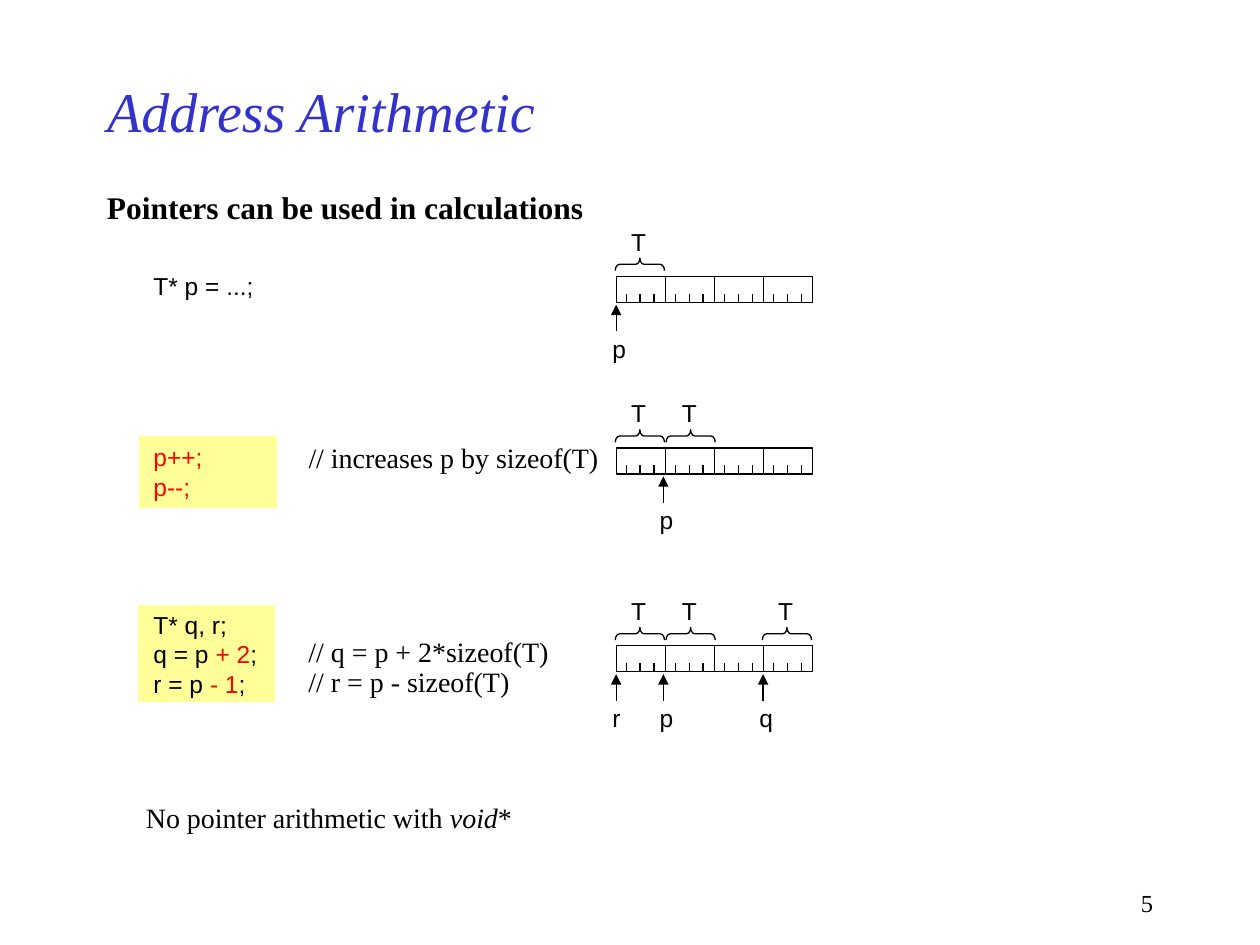
from lxml.etree import SubElement
from pptx import Presentation
from pptx.dml.color import RGBColor as Color
from pptx.enum.shapes import MSO_CONNECTOR as Link, MSO_SHAPE as Form
from pptx.enum.text import MSO_ANCHOR as Anchor, MSO_AUTO_SIZE as Fit, PP_ALIGN as Align
from pptx.oxml.ns import qn
from pptx.util import Pt

BLACK = Color(0x00, 0x00, 0x00)
BLUE = Color(0x33, 0x33, 0xCC)
RED = Color(0xFF, 0x00, 0x00)
YELLOW = Color(0xFF, 0xFF, 0x99)
SANS, SERIF = "Arial", "Times New Roman"
CELL_W, CELL_H, CELLS = 28.08, 14.9, 4
TICK_X, TICK_GAP, TICK_H = 5.8, 7.9, 5
BRACE_W, BRACE_H = 28.08, 7.2
STRIP_X, CODE_X, NOTE_X = 352.1, 80.6, 169.2


def add_run(para, text, font, size, color=BLACK, bold=False, italic=False):
    """Add one formatted run to a paragraph."""
    run = para.add_run()
    run.text = text
    style = run.font
    style.name, style.size = font, Pt(size)
    style.bold, style.italic = bold, italic
    style.color.rgb = color


def add_text(slide, box, lines, font, size, bold=False, align=Align.LEFT):
    """Place a text box whose lines are lists of (text, color, italic) runs."""
    frame = slide.shapes.add_textbox(*map(Pt, box)).text_frame
    frame.word_wrap = True
    frame.auto_size = Fit.NONE
    for i, line in enumerate(lines):
        para = frame.paragraphs[0] if i == 0 else frame.add_paragraph()
        para.alignment = align
        for text, color, italic in line:
            add_run(para, text, font, size, color, bold, italic)


def add_word(slide, box, text, font, size, **style):
    """Place a text box with a single black run."""
    add_text(slide, box, [[(text, BLACK, False)]], font, size, **style)


def add_form(slide, form, box, line=BLACK, fill=None):
    """Place a thinly outlined preset shape."""
    shape = slide.shapes.add_shape(form, *map(Pt, box))
    shape.shadow.inherit = False
    shape.line.color.rgb = line
    shape.line.width = Pt(0.75)
    if fill is None:
        shape.fill.background()
    else:
        shape.fill.solid()
        shape.fill.fore_color.rgb = fill
    return shape


def add_line(slide, x, start, end, arrow=False):
    """Draw an upright line, with an arrowhead at its end if asked."""
    link = slide.shapes.add_connector(Link.STRAIGHT, Pt(x), Pt(start), Pt(x), Pt(end))
    link.line.color.rgb = BLACK
    link.line.width = Pt(0.75)
    if arrow:
        SubElement(link.line._get_or_add_ln(), qn("a:tailEnd"), type="triangle")
    SubElement(link._element.spPr, qn("a:effectLst"))


def add_brace(slide, x, y):
    """Draw an upward brace labelled T over the cell whose corner is x, y."""
    left = x - 0.5 + (BRACE_W - BRACE_H) / 2
    top = y - 6.8 - BRACE_W / 2
    brace = add_form(slide, Form.LEFT_BRACE, (left, top, BRACE_H, BRACE_W))
    brace.adjustments[0] = 0.33
    brace.rotation = 90
    add_word(slide, (x + 1.5, y - 31.9, 25, 24.2), "T", SANS, 14)


def add_strip(slide, x, y, braces, marks):
    """Draw a row of memory cells with braces above and pointers below."""
    for i in range(CELLS):
        left = x + i * CELL_W
        add_form(slide, Form.RECTANGLE, (left, y, CELL_W, CELL_H))
        for j in range(3):
            add_line(slide, left + TICK_X + j * TICK_GAP, y + CELL_H, y + CELL_H - TICK_H)
    for shift in braces:
        add_brace(slide, x + shift, y)
    for name, shift in marks:
        add_line(slide, x + shift, y + 31.5, y + 16.2, arrow=True)
        add_word(slide, (x + shift - 9.2, y + 29.2, 24, 24.2), name, SANS, 14)


def add_code(slide, box, lines, back=None):
    """Place lines of code, over a yellow panel if one is given."""
    if back:
        add_form(slide, Form.RECTANGLE, back, YELLOW, YELLOW)
    add_text(slide, box, lines, SANS, 14)


def add_title(slide, box, text):
    """Move and format the title placeholder."""
    title = slide.shapes.title
    title.left, title.top, title.width, title.height = map(Pt, box)
    frame = title.text_frame
    frame.vertical_anchor = Anchor.MIDDLE
    frame.auto_size = Fit.NONE
    para = frame.paragraphs[0]
    para.alignment = Align.LEFT
    add_run(para, text, SERIF, 32, BLUE, italic=True)


def main():
    """Build and save the slide."""
    deck = Presentation()
    deck.slide_width, deck.slide_height = Pt(720), Pt(540)
    slide = deck.slides.add_slide(deck.slide_layouts[5])
    add_title(slide, (54, 36, 540, 54), "Address Arithmetic")
    add_word(slide, (54, 103.7, 291, 28.8), "Pointers can be used in calculations",
             SERIF, 18, bold=True)

    add_code(slide, (CODE_X, 151.2, 75, 24.2), [[("T* p = ...;", BLACK, False)]])
    add_strip(slide, STRIP_X, 157.9, [0], [("p", 0)])

    add_code(slide, (CODE_X, 249.1, 46, 41),
             [[(text, RED, False)] for text in ("p++;", "p--;")],
             (79.9, 249.8, 77.8, 40.3))
    add_strip(slide, STRIP_X, 256, [0, 29], [("p", 27)])
    add_word(slide, (NOTE_X, 248, 184, 26.6), "// increases p by sizeof(T)", SERIF, 16)

    sums = [[(head, BLACK, False), (step, RED, False), (";", BLACK, False)]
            for head, step in (("q = p ", "+ 2"), ("r = p ", "- 1"))]
    add_code(slide, (CODE_X, 344.9, 78, 57.6), [[("T* q, r;", BLACK, False)]] + sums,
             (79.2, 346.3, 77.8, 54.7))
    add_strip(slide, STRIP_X, 369, [0, 29, 84], [("r", 0), ("p", 27), ("q", 84)])
    add_word(slide, (NOTE_X, 359, 155, 26.6), "// q = p + 2*sizeof(T)", SERIF, 16)
    add_word(slide, (NOTE_X, 376.2, 133, 26.6), "// r = p - sizeof(T)", SERIF, 16)

    add_text(slide, (76.3, 454, 227, 26.6),
             [[("No pointer arithmetic with ", BLACK, False), ("void", BLACK, True),
               ("*", BLACK, False)]], SERIF, 16)
    add_word(slide, (516.2, 504, 149.8, 23.8), "5", SERIF, 14, align=Align.RIGHT)
    deck.save("out.pptx")


if __name__ == "__main__":
    main()
